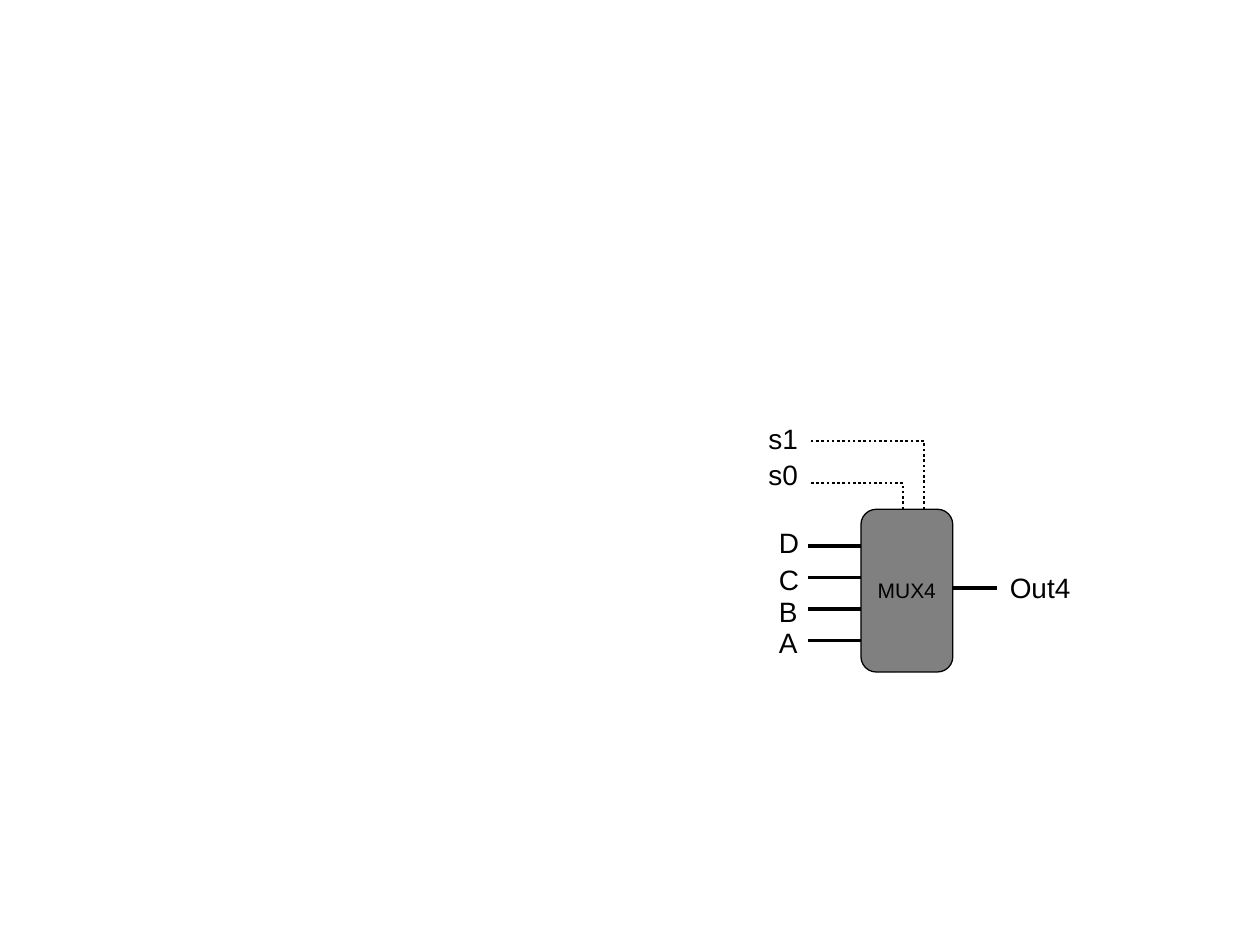
from lxml import etree
from pptx import Presentation
from pptx.dml.color import RGBColor
from pptx.enum.dml import MSO_LINE
from pptx.enum.shapes import MSO_CONNECTOR, MSO_SHAPE
from pptx.enum.text import MSO_ANCHOR, MSO_AUTO_SIZE, PP_ALIGN
from pptx.oxml.ns import qn
from pptx.util import Inches, Pt

BLACK, GRAY = "000000", "808080"
COLUMNS = 120  # twelve grid cells to the inch
SLIDE_WIDTH, SLIDE_HEIGHT = Inches(10), Inches(7.5)

WIRE_START, BODY_LEFT = 77, 82
BODY_TOP, BODY_WIDTH, BODY_HEIGHT = 48.5, 8.75, 15.5
LABEL_HEIGHT = 4.4


def grid(cells):
    return round(SLIDE_WIDTH * cells / COLUMNS)


def color(hex_value):
    return RGBColor.from_string(hex_value)


def write(shape, text, size=16, align=PP_ALIGN.LEFT, anchor=MSO_ANCHOR.TOP,
          auto_size=MSO_AUTO_SIZE.SHAPE_TO_FIT_TEXT):
    frame = shape.text_frame
    frame.word_wrap = False
    frame.auto_size = auto_size
    frame.vertical_anchor = anchor
    paragraph = frame.paragraphs[0]
    paragraph.alignment = align
    run = paragraph.add_run()
    run.text = text
    run.font.name = "Arial"
    run.font.size = Pt(size)
    run.font.color.rgb = color(BLACK)


def add_label(slide, text, left, top, width):
    box = slide.shapes.add_textbox(*map(grid, (left, top, width, LABEL_HEIGHT)))
    write(box, text)


def style_line(shape, width):
    shape.line.color.rgb = color(BLACK)
    shape.line.width = Pt(width)


def add_wire(slide, start, end, row):
    wire = slide.shapes.add_connector(
        MSO_CONNECTOR.STRAIGHT, *map(grid, (start, row, end, row)))
    style_line(wire, 2.25)
    etree.SubElement(wire._element.spPr, qn("a:effectLst"))


def add_select_wire(slide, column, row):
    outline = slide.shapes.build_freeform(grid(column), grid(49))
    corners = [(column, row), (WIRE_START, row)]
    outline.add_line_segments(
        [(grid(x), grid(y)) for x, y in corners], close=False)
    wire = outline.convert_to_shape()
    wire.fill.background()
    wire.shadow.inherit = False
    style_line(wire, 1.5)
    wire.line.dash_style = MSO_LINE.ROUND_DOT


def add_body(slide, text):
    body = slide.shapes.add_shape(
        MSO_SHAPE.ROUNDED_RECTANGLE,
        *map(grid, (BODY_LEFT, BODY_TOP, BODY_WIDTH, BODY_HEIGHT)))
    body.adjustments[0] = 0.167
    body.shadow.inherit = False
    body.fill.solid()
    body.fill.fore_color.rgb = color(GRAY)
    style_line(body, 0.75)
    write(body, text, size=12, align=PP_ALIGN.CENTER,
          anchor=MSO_ANCHOR.MIDDLE, auto_size=MSO_AUTO_SIZE.NONE)


def main():
    deck = Presentation()
    deck.slide_width, deck.slide_height = SLIDE_WIDTH, SLIDE_HEIGHT
    slide = deck.slides.add_slide(deck.slide_layouts[6])

    # Select signals, entering from above
    for name, label_top, column, row in (("s0", 43, 86, 46),
                                         ("s1", 39.6, 88, 42)):
        add_label(slide, name, 72, label_top, 5.25)
        add_select_wire(slide, column, row)

    # Output, starting beneath the body
    add_wire(slide, 90, 95, 56)
    add_label(slide, "Out4", 95, 53.75, 8.2)

    # Multiplexer body
    add_body(slide, "MUX4")

    # Data inputs, three rows apart
    label_tops = (49.5, 53, 56, 59)
    for index, (name, label_top) in enumerate(zip("DCBA", label_tops)):
        add_wire(slide, WIRE_START, BODY_LEFT, 52 + 3 * index)
        add_label(slide, name, 73, label_top, 4.25)

    deck.save("out.pptx")


if __name__ == "__main__":
    main()
